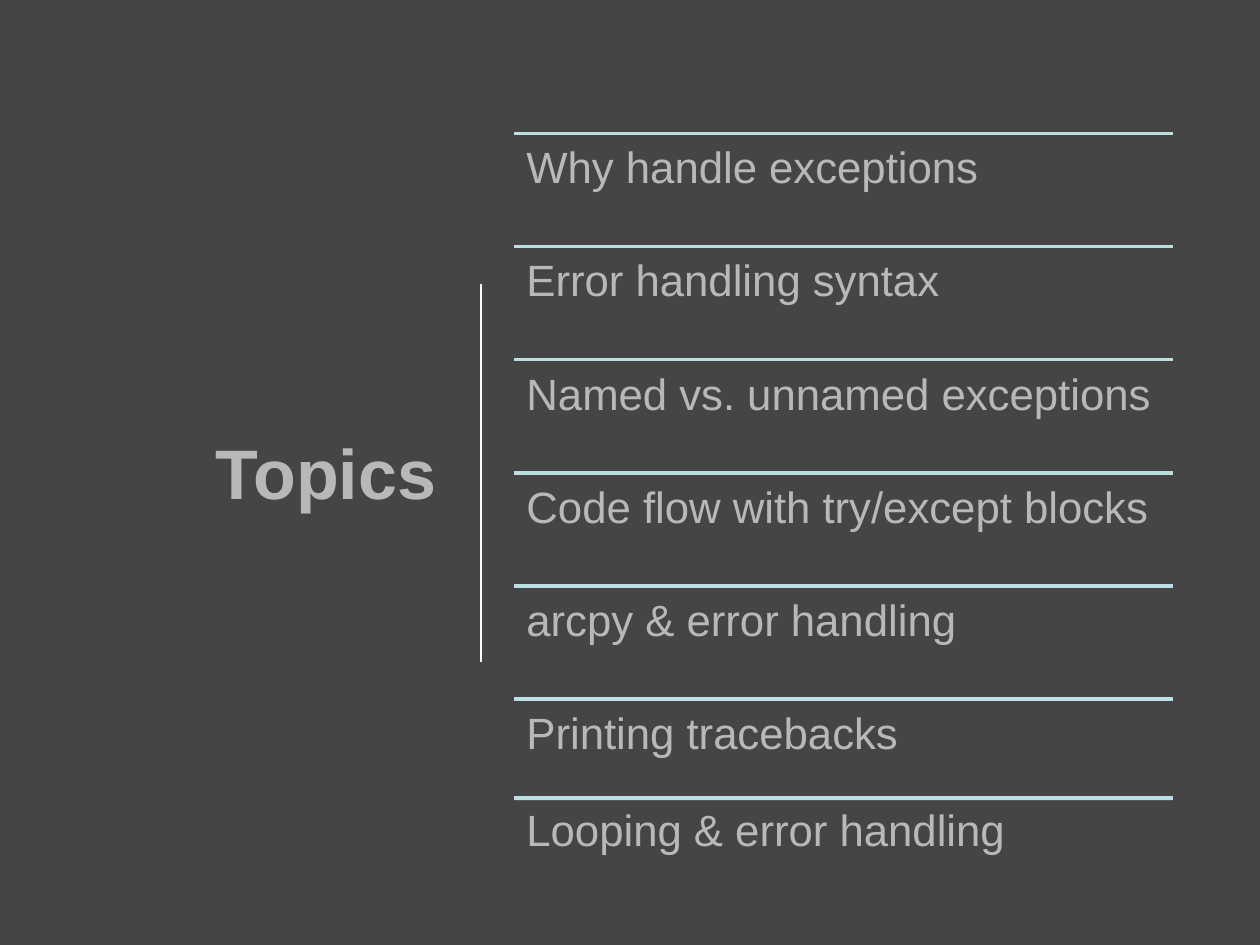
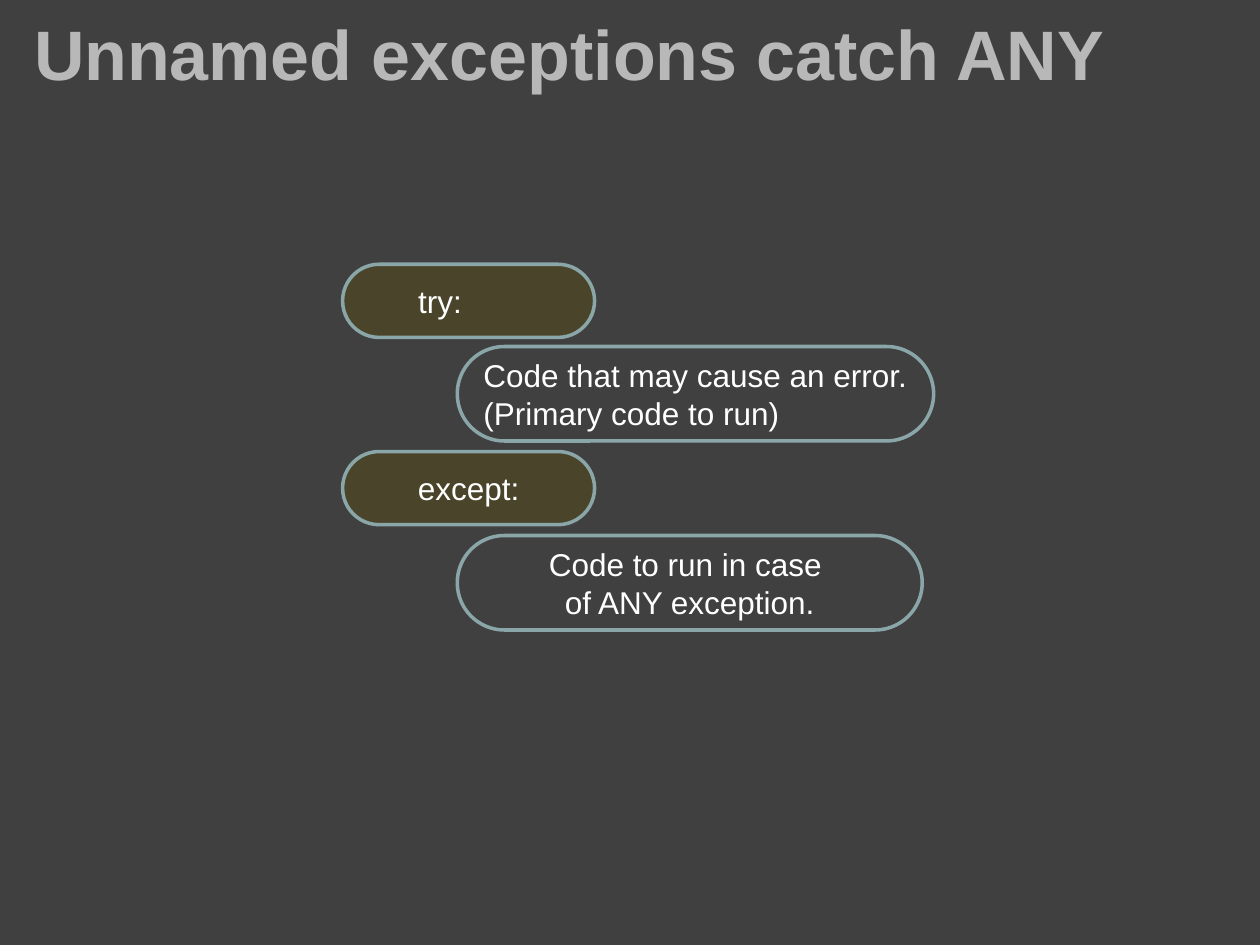
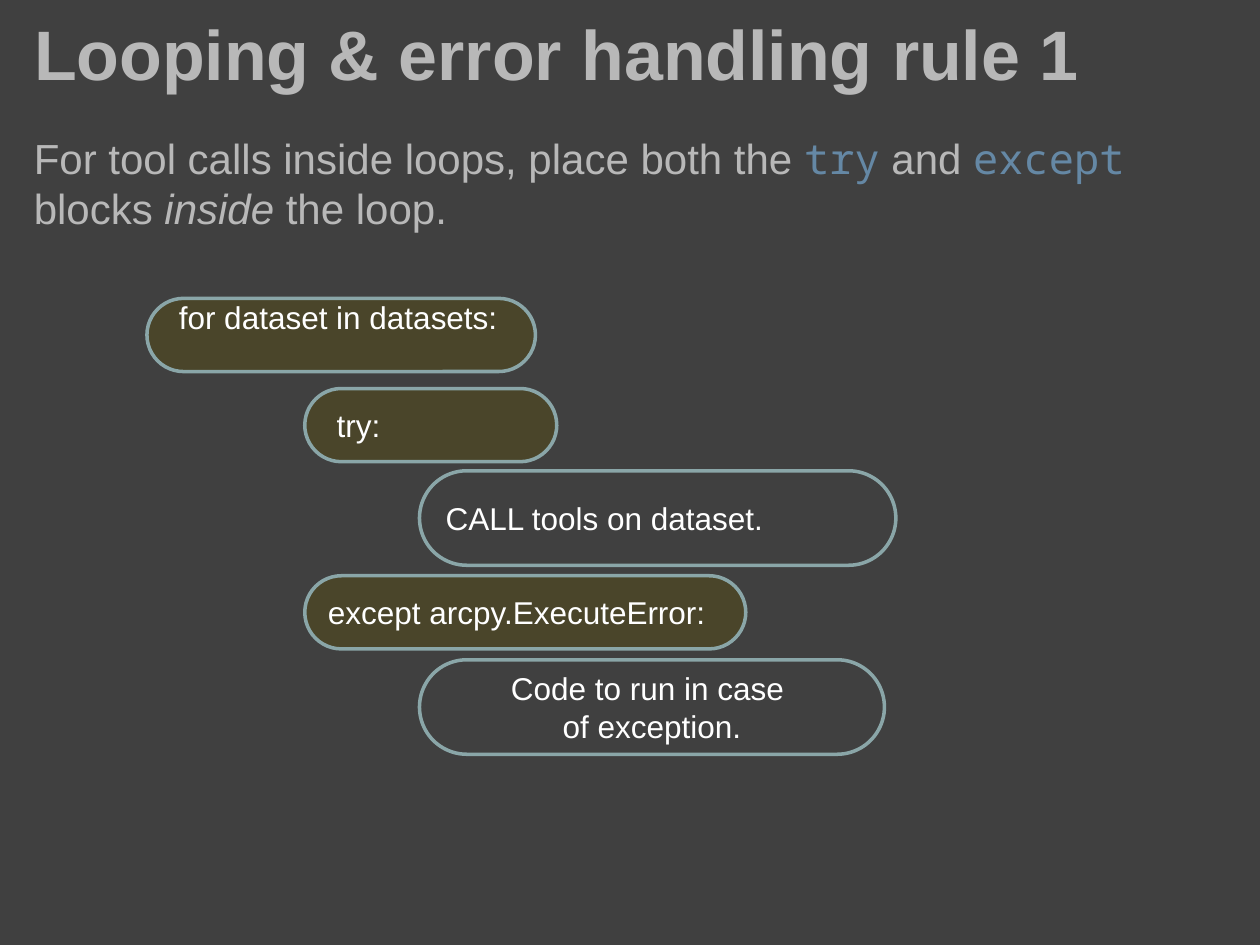
import pptx
import pptx.dml.color
import pptx.enum.shapes
import pptx.enum.text
import pptx.oxml
import pptx.oxml.ns
import pptx.util

Pt = pptx.util.Pt
RGBColor = pptx.dml.color.RGBColor
ALIGN = pptx.enum.text.PP_ALIGN
ANCHOR = pptx.enum.text.MSO_ANCHOR
SHAPE = pptx.enum.shapes.MSO_SHAPE

TOPICS_BACKGROUND = RGBColor(0x45, 0x45, 0x45)
BACKGROUND = RGBColor(0x40, 0x40, 0x40)
GREY = RGBColor(0xB8, 0xB8, 0xB8)
WHITE = RGBColor(0xFF, 0xFF, 0xFF)
RULE = RGBColor(0xBB, 0xE0, 0xE3)
KEYWORD_FILL = RGBColor(0x4A, 0x45, 0x2A)
PILL_OUTLINE = RGBColor(0x8A, 0xA6, 0xA8)
CODE_BLUE = RGBColor(0x65, 0x88, 0xA5)

TITLE_FONT = {"name": "Arial", "size": Pt(40), "bold": True}
TOPIC_FONT = {"name": "Arial", "size": Pt(25)}
BODY_FONT = {"name": "Arial", "size": Pt(24)}
CODE_FONT = {"name": "Noto Sans Mono", "size": Pt(24)}
PILL_FONT = {"name": "Arial", "size": Pt(18)}

TITLE_BOX = (12.24, 12.24, 684, 36)
TOPIC_LEFT, TOPIC_TOP, TOPIC_WIDTH, TOPIC_PITCH = 293.76, 76.2, 376.56, 64.66
KEYWORD_HEIGHT, BODY_HEIGHT = 41.8, 54
BODY_INDENT = 65.5
SPACE_WIDTH = 5


def set_values(target, values):
    """Set every attribute in values on target."""
    for attribute, value in values.items():
        setattr(target, attribute, value)


def format_font(font, values, color):
    """Apply font values and a colour."""
    set_values(font, values)
    font.color.rgb = color


def add_title_slide(deck, title, box=TITLE_BOX, alignment=ALIGN.LEFT):
    """Add a title-only slide with its title placed and formatted."""
    slide = deck.slides.add_slide(deck.slide_layouts[5])
    heading = slide.shapes.title
    set_values(heading, dict(zip(("left", "top", "width", "height"), map(Pt, box))))
    heading.text_frame.text = title
    set_values(heading.text_frame, {
        "auto_size": pptx.enum.text.MSO_AUTO_SIZE.NONE,
        "vertical_anchor": ANCHOR.MIDDLE,
        "word_wrap": True,
    })
    paragraph = heading.text_frame.paragraphs[0]
    paragraph.alignment = alignment
    format_font(paragraph.runs[0].font, TITLE_FONT, GREY)
    return slide


def add_line(slide, start, end, color, width):
    """Draw a straight line without a shadow."""
    line = slide.shapes.add_connector(
        pptx.enum.shapes.MSO_CONNECTOR.STRAIGHT, *map(Pt, start + end))
    line.line.color.rgb = color
    line.line.width = Pt(width)
    properties = line._element.spPr
    properties.append(pptx.oxml.parse_xml(
        f"<a:effectLst {pptx.oxml.ns.nsdecls('a')}/>"))


def add_text(slide, box, runs, spacing=1.0, margins=None):
    """Add a wrapping one-paragraph text box from (text, font, colour) runs."""
    frame = slide.shapes.add_textbox(*map(Pt, box)).text_frame
    set_values(frame, {"word_wrap": True, **(margins or {})})
    paragraph = frame.paragraphs[0]
    paragraph.line_spacing = spacing
    for text, font, color in runs:
        run = paragraph.add_run()
        run.text = text
        format_font(run.font, font, color)


def add_pill(slide, box, text, keyword=False, alignment=ALIGN.LEFT, indent=0,
             bottom=3.6):
    """Add a rounded code step, filled when it holds a keyword."""
    pill = slide.shapes.add_shape(SHAPE.ROUNDED_RECTANGLE, *map(Pt, box))
    pill.adjustments[0] = 0.5
    pill.shadow.inherit = False
    if keyword:
        pill.fill.solid()
        pill.fill.fore_color.rgb = KEYWORD_FILL
    else:
        pill.fill.background()
    pill.line.color.rgb = PILL_OUTLINE
    pill.line.width = Pt(2)
    frame = pill.text_frame
    frame.text = text
    set_values(frame, {"word_wrap": True, "vertical_anchor": ANCHOR.MIDDLE,
                       "margin_bottom": Pt(bottom)})
    for paragraph in frame.paragraphs:
        paragraph.alignment = alignment
        paragraph._p.get_or_add_pPr().set("marL", str(Pt(indent)))
        for run in paragraph.runs:
            format_font(run.font, PILL_FONT, WHITE)


def add_try_except(slide, left, top, try_indent, try_body, except_clause,
                   except_width, except_alignment, except_body):
    """Add the four steps of a try/except block."""
    body_left = left + BODY_INDENT
    add_pill(slide, (left, top, 144, KEYWORD_HEIGHT), "try:", True,
             indent=try_indent)
    add_pill(slide, (body_left, top + 47, 272.2, BODY_HEIGHT), try_body)
    add_pill(slide, (left, top + 107, except_width, KEYWORD_HEIGHT),
             except_clause, True, except_alignment)
    add_pill(slide, (body_left, top + 155, 265.7, BODY_HEIGHT), except_body,
             alignment=ALIGN.CENTER)


def build_topics(deck):
    """Build the list of topics."""
    slide = add_title_slide(deck, "Topics", (49.68, 75.6, 206.64, 388.08),
                            ALIGN.RIGHT)
    slide.background.fill.solid()
    slide.background.fill.fore_color.rgb = TOPICS_BACKGROUND
    add_line(slide, (275, 162), (275, 378), WHITE, 1.25)
    topics = ["Why handle exceptions", "Error handling syntax",
              "Named vs. unnamed exceptions", "Code flow with try/except blocks",
              "arcpy & error handling", "Printing tracebacks"]
    margins = {f"margin_{side}": Pt(7.2)
               for side in ("left", "top", "right", "bottom")}
    right = TOPIC_LEFT + TOPIC_WIDTH
    for index, topic in enumerate(topics):
        top = TOPIC_TOP + index * TOPIC_PITCH
        add_line(slide, (TOPIC_LEFT, top), (right, top), RULE, 2)
        add_text(slide, (TOPIC_LEFT, top, TOPIC_WIDTH, TOPIC_PITCH),
                 [(topic, TOPIC_FONT, GREY)], 0.9, margins)
    last_top = 455
    add_text(slide, (TOPIC_LEFT, last_top, 360, 37.5),
             [("Looping & error handling", TOPIC_FONT, GREY)])
    last_rule = slide.shapes.add_shape(
        SHAPE.RECTANGLE, *map(Pt, (TOPIC_LEFT, last_top, TOPIC_WIDTH, 2.2)))
    last_rule.shadow.inherit = False
    last_rule.fill.solid()
    last_rule.fill.fore_color.rgb = RULE
    last_rule.line.fill.background()


def build_unnamed_exceptions(deck):
    """Build the slide on unnamed exceptions."""
    slide = add_title_slide(deck, "Unnamed exceptions catch ANY")
    add_try_except(slide, 195.8, 151, 6 * SPACE_WIDTH,
                   "Code that may cause an error. (Primary code to run)",
                   "except:", 144, ALIGN.CENTER,
                   "Code to run in case \nof ANY exception.")


def build_looping_rule(deck):
    """Build the slide on error handling inside loops."""
    slide = add_title_slide(deck, "Looping & error handling rule 1")
    add_text(slide, (12.24, 72, 684, 84), [
        ("For tool calls inside loops, place both the ", BODY_FONT, GREY),
        ("try", CODE_FONT, CODE_BLUE),
        (" and ", BODY_FONT, GREY),
        ("except", CODE_FONT, CODE_BLUE),
        (" blocks ", BODY_FONT, GREY),
        ("inside", {**BODY_FONT, "italic": True}, GREY),
        (" the loop.", BODY_FONT, GREY),
    ])
    add_pill(slide, (84, 170.5, 222, KEYWORD_HEIGHT), "for dataset in datasets:",
             True, indent=SPACE_WIDTH, bottom=24)
    add_try_except(slide, 174.2, 222, SPACE_WIDTH, "CALL tools on dataset.",
                   "except arcpy.ExecuteError:", 252, ALIGN.LEFT,
                   "Code to run in case \nof exception.")


def main():
    """Build and save the three slides."""
    deck = pptx.Presentation()
    set_values(deck, {"slide_width": Pt(720), "slide_height": Pt(540)})
    backdrop = deck.slide_master.background.fill
    backdrop.solid()
    backdrop.fore_color.rgb = BACKGROUND
    build_topics(deck)
    build_unnamed_exceptions(deck)
    build_looping_rule(deck)
    deck.save("out.pptx")


if __name__ == "__main__":
    main()
